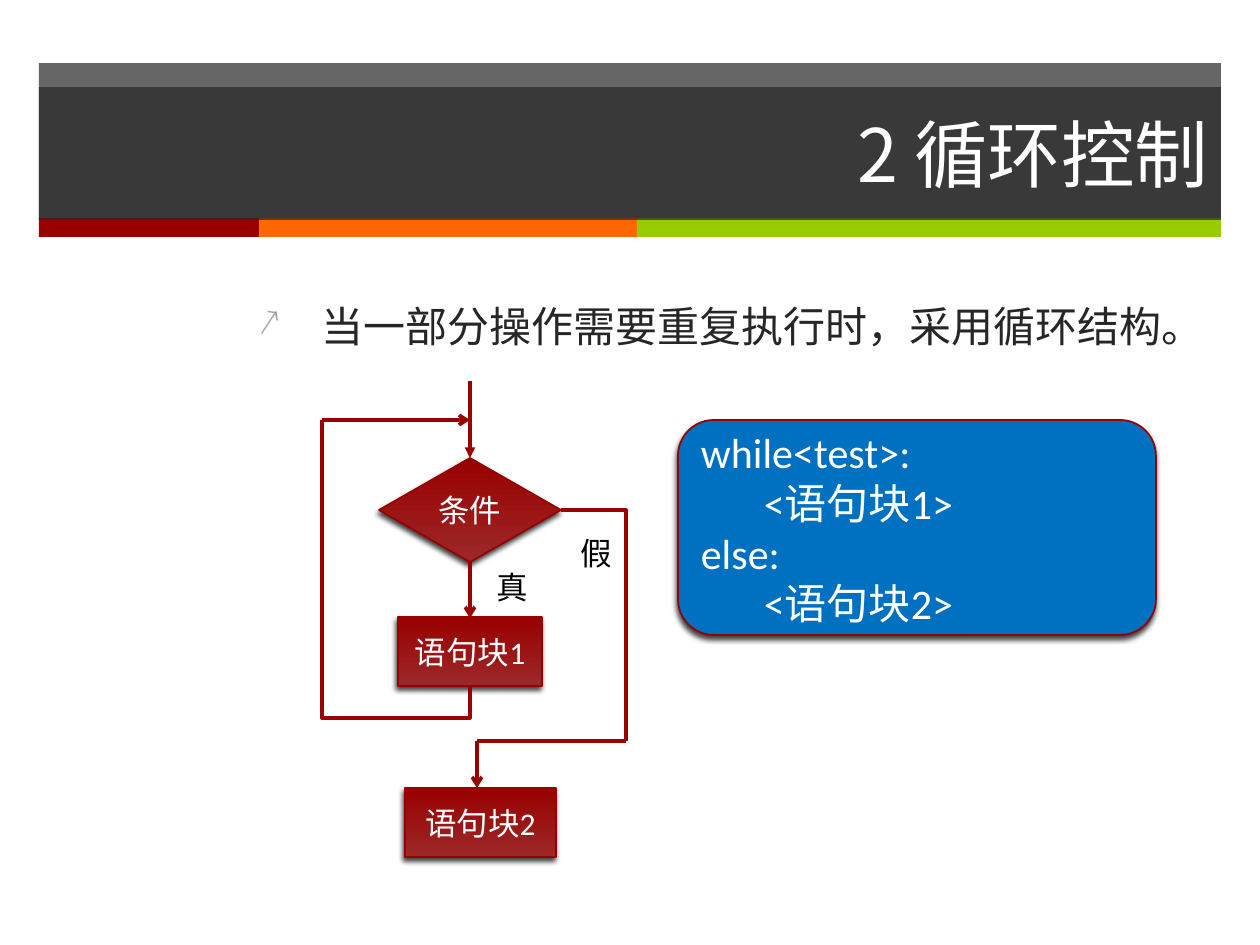
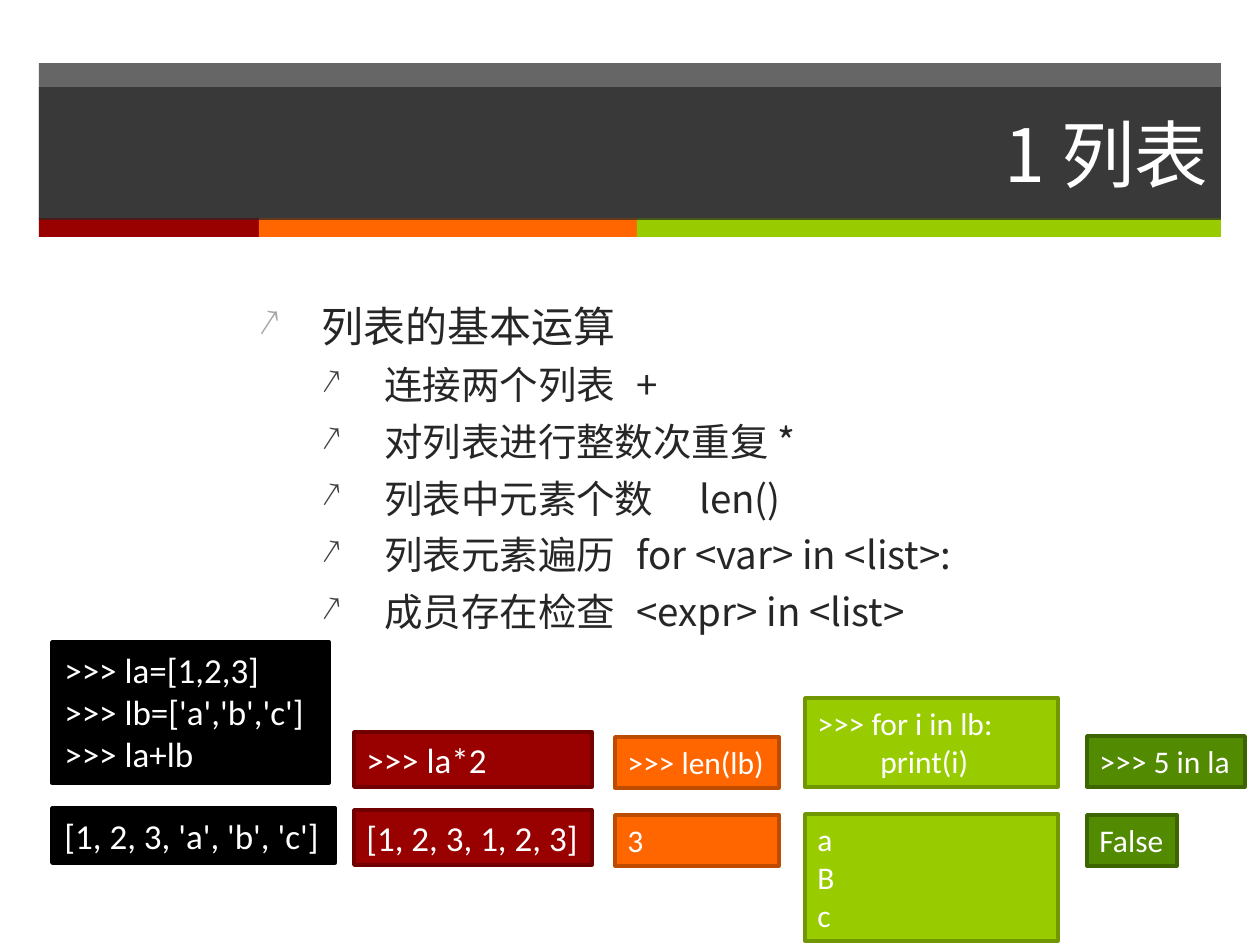
from lxml.etree import SubElement
from pptx import Presentation
from pptx.dml.color import RGBColor
from pptx.enum.shapes import MSO_CONNECTOR as Line, MSO_SHAPE as Shape
from pptx.enum.text import MSO_ANCHOR as Anchor, MSO_AUTO_SIZE as AutoSize, PP_ALIGN as Align
from pptx.oxml.ns import qn
from pptx.util import Emu, Pt

EMU_PER_PX = 914400 / 126
COLORS = {
    "white": "FFFFFF", "black": "000000", "dark": "262626",
    "red": "990000", "red_light": "9D2828", "red_line": "960000", "red_edge": "710000",
    "orange": "FF6600", "orange_edge": "BD4B00",
    "lime": "99CC00", "lime_edge": "719700",
    "green": "528A02", "green_edge": "3D6601",
    "blue": "0070C0", "bullet": "A6A6A6", "sub_bullet": "404040",
}
CJK = "Noto Sans CJK SC"
LATIN = "Calibri"


def px(*lengths):
    return [Emu(round(length * EMU_PER_PX)) for length in lengths]


def rgb(name):
    return RGBColor.from_string(COLORS[name])


def add_xml(parent, tag, **attributes):
    child = SubElement(parent, qn(tag))
    for key, value in attributes.items():
        child.set(key, str(value))
    return child


def write(para, text, size=18, color="white", font=LATIN, align=Align.LEFT):
    para.alignment = align
    span = para.add_run()
    span.text = text
    span.font.size = Pt(size)
    span.font.name = font
    span.font.color.rgb = rgb(color)
    add_xml(span.font._element, "a:ea", typeface=CJK)


def write_lines(frame, text, **style):
    for index, line in enumerate(text.split("\n")):
        para = frame.add_paragraph() if index else frame.paragraphs[0]
        write(para, line, **style)


def fill_solid(shape, color, opacity=100):
    shape.fill.solid()
    shape.fill.fore_color.rgb = rgb(color)
    if opacity < 100:
        add_xml(shape._element.spPr.find(".//" + qn("a:srgbClr")), "a:alpha", val=opacity * 1000)


def add_shadow(shape):
    effects = shape._element.spPr.find(qn("a:effectLst"))
    shadow = add_xml(effects, "a:outerShdw", blurRad=Pt(3), dist=Pt(2),
                     dir=110 * 60000, rotWithShape=0)
    add_xml(add_xml(shadow, "a:srgbClr", val=COLORS["black"]), "a:alpha", val=75000)


class Builder:
    def __init__(self):
        self.deck = Presentation()
        self.deck.slide_width, self.deck.slide_height = px(1260, 945)
        self.page = None

    def start(self, title):
        """Add a page with the shared header bands and its title."""
        self.page = self.deck.slides.add_slide(self.deck.slide_layouts[5])
        self.band(39, 63, 1182, 156, "dark", opacity=70)
        left = 39
        for width, color in ((220, "red"), (378, "orange"), (584, "lime")):
            self.band(left, 218, width, 19, color)
            left += width
        box = self.page.shapes.title
        self.page.shapes._spTree.append(box._element)  # the title lies above the bands
        box.left, box.top, box.width, box.height = px(39, 87, 1182, 133)
        fill_solid(box, "dark", opacity=70)
        box.text_frame.vertical_anchor = Anchor.MIDDLE
        write_lines(box.text_frame, title, size=42, font=CJK, align=Align.RIGHT)

    def shape(self, kind, left, top, width, height):
        shape = self.page.shapes.add_shape(kind, *px(left, top, width, height))
        shape.shadow.inherit = False
        return shape

    def band(self, left, top, width, height, color, opacity=100):
        band = self.shape(Shape.RECTANGLE, left, top, width, height)
        fill_solid(band, color, opacity)
        band.line.fill.background()

    def bullets(self, items):
        """Write (level, text) items into the body area."""
        frame = self.page.shapes.add_textbox(*px(246, 294, 975, 551)).text_frame
        frame.word_wrap = True
        for index, (level, text) in enumerate(items):
            para = frame.add_paragraph() if index else frame.paragraphs[0]
            write(para, text, size=22 if level else 24, color="dark", font=CJK)
            para.level = level
            para.space_before = Pt(6 if level else 20)
            indent, = px(63)
            props = para._p.get_or_add_pPr()
            props.set("marL", str(indent * (level + 1)))
            props.set("indent", str(-indent))
            mark = "sub_bullet" if level else "bullet"
            add_xml(add_xml(props, "a:buClr"), "a:srgbClr", val=COLORS[mark])
            add_xml(props, "a:buSzPct", val=90000)
            add_xml(props, "a:buChar", char="↗")

    def node(self, kind, left, top, width, height, text,
             fill=None, size=18, align=Align.CENTER):
        """Draw a shadowed shape, with the red gradient unless a fill is given."""
        node = self.shape(kind, left, top, width, height)
        if fill:
            fill_solid(node, fill)
        else:
            node.fill.gradient()
            node.fill.gradient_angle = 90
            for stop, color in zip(node.fill.gradient_stops, ("red_light", "red")):
                stop.color.rgb = rgb(color)
                stop.position = 1 if color == "red" else 0
        node.line.color.rgb = rgb("red_line")
        node.line.width = Pt(1)
        add_shadow(node)
        node.text_frame.word_wrap = True
        node.text_frame.vertical_anchor = Anchor.MIDDLE
        write_lines(node.text_frame, text, size=size, align=align)

    def label(self, left, top, text):
        frame = self.page.shapes.add_textbox(*px(left, top, 57, 50)).text_frame
        frame.word_wrap = False
        frame.auto_size = AutoSize.SHAPE_TO_FIT_TEXT
        write_lines(frame, text, color="black")

    def line(self, x1, y1, x2, y2, head=None, kind=Line.STRAIGHT):
        line = self.page.shapes.add_connector(kind, *px(x1, y1, x2, y2))
        line.line.color.rgb = rgb("red")
        line.line.width = Pt(2)
        if head:
            add_xml(line.line._get_or_add_ln(), "a:tailEnd", type=head)
        add_xml(line._element.spPr, "a:effectLst")
        return line

    def elbow(self, left, top, width, height, preset, rotation=0, flip=False, bend=None):
        line = self.line(left, top, left + width, top + height, kind=Line.ELBOW)
        props = line._element.spPr
        geometry = props.find(qn("a:prstGeom"))
        geometry.set("prst", preset)
        if bend is not None:
            add_xml(geometry.find(qn("a:avLst")), "a:gd", name="adj1",
                    fmla=f"val {round(bend * 100000)}")
        if rotation:
            props.xfrm.set("rot", str(rotation * 60000))
        if flip:
            props.xfrm.set("flipH", "1")

    def code(self, left, top, width, height, text, color, edge, size, wrap):
        panel = self.shape(Shape.RECTANGLE, left, top, width, height)
        fill_solid(panel, color)
        panel.line.color.rgb = rgb(edge)
        panel.line.width = Pt(2)
        frame = panel.text_frame
        frame.word_wrap = wrap
        frame.auto_size = AutoSize.SHAPE_TO_FIT_TEXT
        frame.vertical_anchor = Anchor.TOP
        write_lines(frame, text, size=size)


def build_loop_page(deck):
    deck.start("2 循环控制")
    deck.bullets([(0, "当一部分操作需要重复执行时，采用循环结构。")])
    deck.node(Shape.FLOWCHART_DECISION, 379, 458, 182, 104, "条件")
    deck.node(Shape.FLOWCHART_PROCESS, 398, 617, 144, 69, "语句块1")
    deck.node(Shape.FLOWCHART_PROCESS, 405, 788, 151, 69, "语句块2")
    deck.label(484, 562, "真")
    deck.label(568, 528, "假")
    deck.line(470, 381, 470, 458, head="triangle")
    deck.line(470, 562, 470, 618, head="arrow")
    deck.elbow(263, 479, 266, 148, "bentConnector3", rotation=90, flip=True, bend=-0.12)
    deck.line(322, 420, 470, 420, head="arrow")
    deck.elbow(561, 510, 65, 231, "bentConnector2")
    deck.line(626, 741, 477, 741)
    deck.line(477, 741, 477, 788, head="arrow")
    deck.node(Shape.ROUNDED_RECTANGLE, 678, 420, 478, 215,
              "while<test>:\n\t<语句块1>\nelse:\n\t<语句块2>",
              fill="blue", size=24, align=Align.LEFT)


def build_list_page(deck):
    deck.start("1 列表")
    operations = ("连接两个列表\t+", "对列表进行整数次重复 *", "列表中元素个数\tlen()",
                  "列表元素遍历\tfor <var> in <list>:", "成员存在检查\t<expr> in <list>")
    deck.bullets([(0, "列表的基本运算")] + [(1, text) for text in operations])
    # left, colour, edge, text size, then (top, width, height, wrap, text) of input and output
    examples = (
        (52, "black", "black", 20,
         (642, 277, 141, True, ">>> la=[1,2,3]\n>>> lb=['a','b','c']\n>>> la+lb"),
         (808, 283, 55, False, "[1, 2, 3, 'a', 'b', 'c']")),
        (354, "red", "red_edge", 20,
         (732, 238, 55, True, ">>> la*2"),
         (810, 238, 55, False, "[1, 2, 3, 1, 2, 3]")),
        (615, "orange", "orange_edge", 18,
         (737, 164, 51, False, ">>> len(lb)"),
         (815, 164, 51, True, "3")),
        (805, "lime", "lime_edge", 18,
         (698, 253, 89, True, ">>> for i in lb:\n\tprint(i)"),
         (814, 253, 127, True, "a\nB\nc")),
        (1087, "green", "green_edge", 18,
         (736, 158, 51, False, ">>> 5 in la"),
         (815, 90, 51, False, "False")),
    )
    for left, color, edge, size, *panels in examples:
        for top, width, height, wrap, text in panels:
            deck.code(left, top, width, height, text, color, edge, size, wrap)


def main():
    builder = Builder()
    build_loop_page(builder)
    build_list_page(builder)
    builder.deck.save("out.pptx")


if __name__ == "__main__":
    main()
